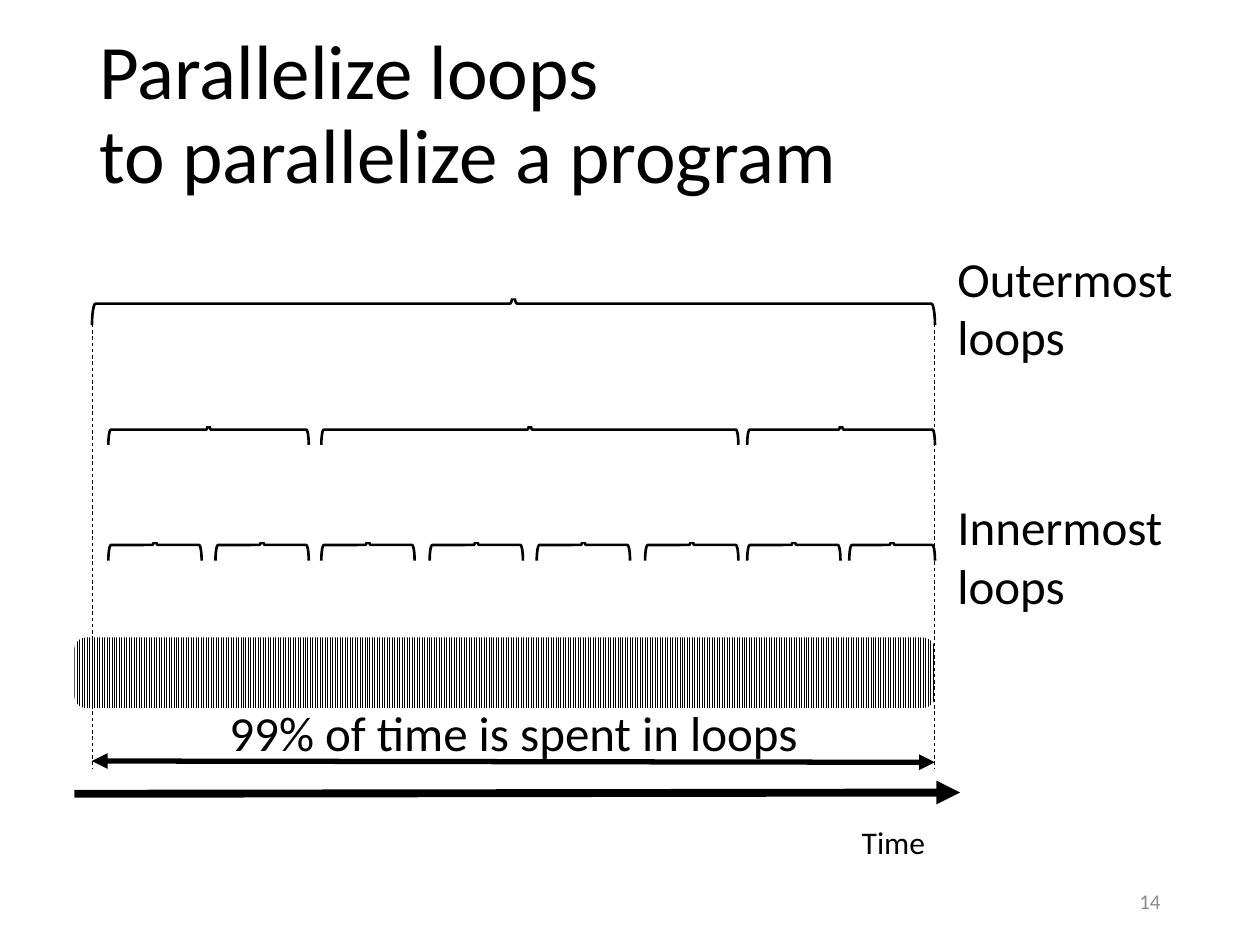
from lxml.etree import SubElement
from pptx import Presentation
from pptx.dml.color import RGBColor
from pptx.enum.dml import MSO_LINE, MSO_PATTERN
from pptx.enum.shapes import MSO_CONNECTOR, MSO_SHAPE
from pptx.enum.text import MSO_ANCHOR, MSO_AUTO_SIZE, PP_ALIGN
from pptx.oxml.ns import qn
from pptx.util import Inches, Pt

BLACK, WHITE, GREY = "000000", "FFFFFF", "8C8C8C"


def rgb(color):
    return RGBColor.from_string(color)


class LoopSlide:
    """Draw text, braces, bars and arrows on one slide in a shared style."""

    font = "Calibri"

    def __init__(self, slide):
        self.s = slide

    def text(self, x, y, w, h, words, size, color=BLACK, align=PP_ALIGN.LEFT,
             anchor=MSO_ANCHOR.TOP, wrap=True, grow=True, spacing=None):
        tf = self.s.shapes.add_textbox(Inches(x), Inches(y), Inches(w), Inches(h)).text_frame
        tf.word_wrap = wrap
        tf.auto_size = MSO_AUTO_SIZE.SHAPE_TO_FIT_TEXT if grow else MSO_AUTO_SIZE.NONE
        tf.vertical_anchor = anchor
        p = tf.paragraphs[0]
        p.text = words
        p.alignment = align
        if spacing:
            p.line_spacing = spacing
        p.font.name, p.font.size = self.font, Pt(size)
        p.font.color.rgb = rgb(color)

    def shape(self, kind, x, y, w, h):
        sp = self.s.shapes.add_shape(kind, Inches(x), Inches(y), Inches(w), Inches(h))
        sp.shadow.inherit = False
        sp.line.fill.background()
        return sp

    def turned(self, kind, x, y, w, h):
        sp = self.shape(kind, x + (w - h) / 2, y + (h - w) / 2, h, w)
        sp.rotation = 90
        return sp

    def brace(self, x, y, w, h):
        sp = self.turned(MSO_SHAPE.LEFT_BRACE, x, y, w, h)
        sp.fill.background()
        sp.line.color.rgb = rgb(BLACK)
        sp.line.width = Pt(1.5)

    def striped_bar(self, x, y, w, h):
        fill = self.turned(MSO_SHAPE.ROUNDED_RECTANGLE, x, y, w, h).fill
        fill.patterned()
        fill.pattern = MSO_PATTERN.LIGHT_VERTICAL
        fill.fore_color.rgb = rgb(BLACK)
        fill.back_color.rgb = rgb(WHITE)

    def cover(self, x, y, w, h):
        fill = self.shape(MSO_SHAPE.RECTANGLE, x, y, w, h).fill
        fill.solid()
        fill.fore_color.rgb = rgb(WHITE)

    def line(self, x1, y1, x2, y2, width, dash=None, ends=()):
        ln = self.s.shapes.add_connector(
            MSO_CONNECTOR.STRAIGHT, Inches(x1), Inches(y1), Inches(x2), Inches(y2))
        ln.line.color.rgb = rgb(BLACK)
        ln.line.width = Pt(width)
        if dash:
            ln.line.dash_style = dash
        props = ln.line._get_or_add_ln()
        for end in ends:
            SubElement(props, qn(f"a:{end}"), type="triangle")
        SubElement(ln._element.spPr, qn("a:effectLst"))


def main():
    prs = Presentation()
    prs.slide_width, prs.slide_height = Inches(10), Inches(7.5)
    s = LoopSlide(prs.slides.add_slide(prs.slide_layouts[6]))
    start, end = 0.73, 7.42

    s.text(start, 5.53, end - start, 0.57, "99% of time is spent in loops", 28,
           align=PP_ALIGN.CENTER)
    s.text(0.69, 0.2, 8.62, 1.45, "Parallelize loops\vto parallelize a program", 44,
           anchor=MSO_ANCHOR.MIDDLE, grow=False, spacing=0.9)
    s.text(7.06, 6.95, 2.25, 0.4, "14", 12, GREY, PP_ALIGN.RIGHT,
           MSO_ANCHOR.MIDDLE, grow=False)

    s.striped_bar(0.59, 5.06, 6.83, 0.56)
    s.line(0.59, 6.3, 7.62, 6.29, 4.5, ends=("tailEnd",))
    s.text(6.74, 6.48, 0.71, 0.4, "Time", 18, wrap=False)
    s.line(end, 6.05, start, 6.04, 3, ends=("headEnd", "tailEnd"))

    for x in (0.86, 1.71, 2.55, 3.41, 4.26, 5.12, 5.93):
        s.brace(x, 4.2, 0.74, 0.25)
    s.brace(6.74, 4.2, 0.68, 0.25)
    for x, w in ((0.86, 1.59), (2.55, 3.31), (5.93, 1.49)):
        s.brace(x, 3.29, w, 0.24)
    s.brace(start, 2.24, end - start, 0.34)

    for x in (start, end):
        s.line(x, 2.57, x, 6.1, 0.5, MSO_LINE.DASH)
    for box in ((3.9, 1.91, 0.34, 0.46), (1.39, 3.09, 5.53, 0.29), (0.91, 3.91, 6.29, 0.39)):
        s.cover(*box)

    s.text(7.5, 3.89, 1.85, 1.04, "Innermost\vloops", 28, wrap=False)
    s.text(7.5, 1.92, 1.95, 1.04, "Outermost\vloops", 28, wrap=False)
    prs.save("out.pptx")


if __name__ == "__main__":
    main()
